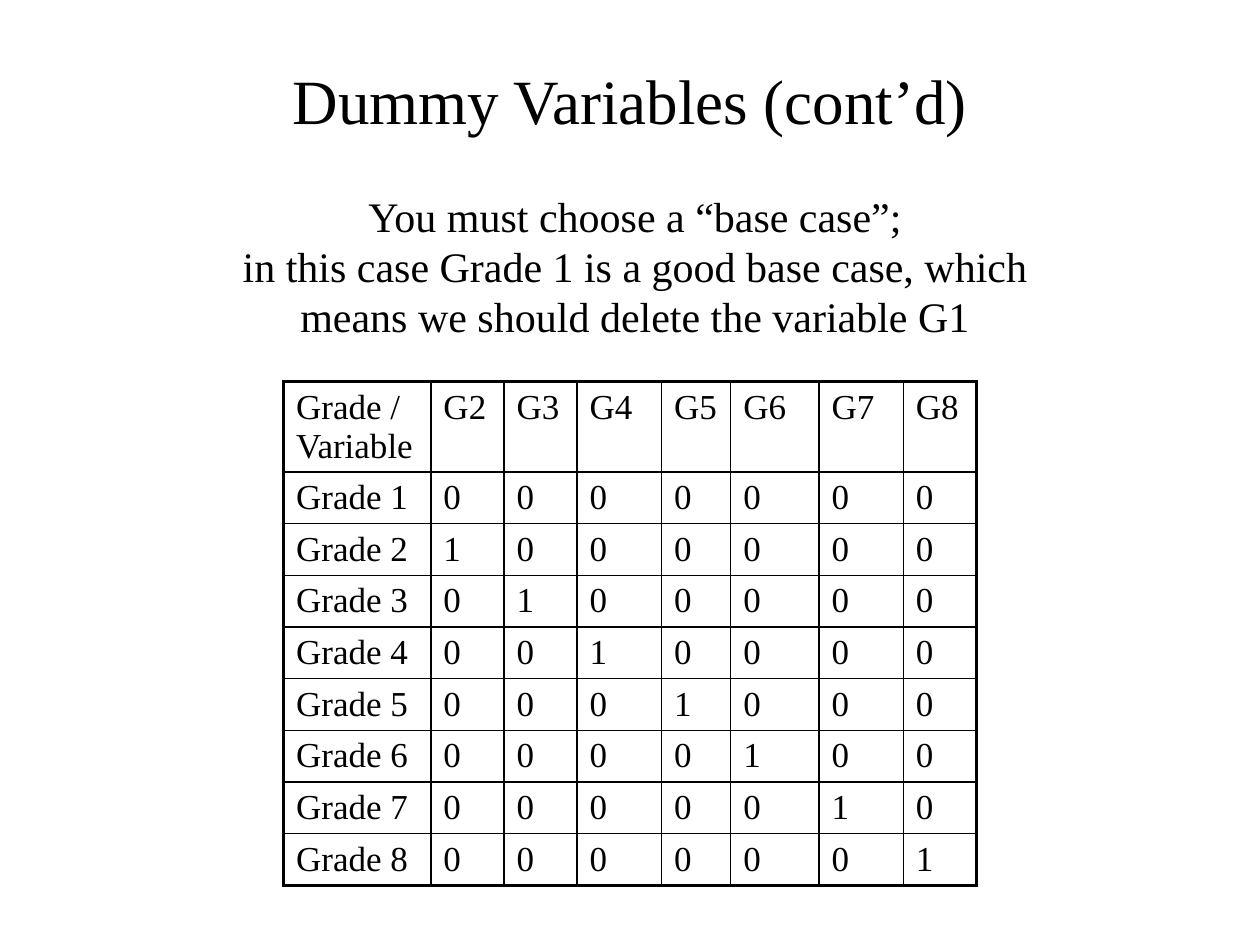
"""Build the slide on dummy variables with a base case."""
from lxml import etree
from pptx import Presentation
from pptx import util as u
from pptx.dml.color import RGBColor
from pptx.enum import text
from pptx.oxml import ns

BLACK = RGBColor(0, 0, 0)
WHITE = RGBColor(255, 255, 255)
FONT = "Times New Roman"
GRADES = 8
COLUMN_WIDTHS = [1.17, 0.58, 0.58, 0.67, 0.55, 0.7, 0.67, 0.58]
HEADER_HEIGHT, ROW_HEIGHT = 0.71, 0.41
THIN, THICK = 1, 2.25


def style(para, size, align):
    """Set the font and alignment of a paragraph."""
    para.alignment = align
    para.font.name = FONT
    para.font.size = u.Pt(size)
    para.font.color.rgb = BLACK


def add_title(page, box, words):
    """Fill the title placeholder and fit it to the box."""
    title = page.shapes.title
    title.left, title.top, title.width, title.height = map(u.Inches, box)
    title.text_frame.text = words
    title.text_frame.vertical_anchor = text.MSO_ANCHOR.MIDDLE
    style(title.text_frame.paragraphs[0], 36, text.PP_ALIGN.CENTER)


def add_explanation(page, box, lines):
    """Write centred paragraphs in a wrapping text box."""
    frame = page.shapes.add_textbox(*map(u.Inches, box)).text_frame
    frame.word_wrap = True
    frame.auto_size = text.MSO_AUTO_SIZE.SHAPE_TO_FIT_TEXT
    frame.text = "\n".join(lines)
    for para in frame.paragraphs:
        style(para, 24, text.PP_ALIGN.CENTER)


def set_borders(cell, widths):
    """Draw the left, right, top and bottom borders of a cell."""
    properties = cell._tc.get_or_add_tcPr()
    for position, (side, width) in enumerate(zip("LRTB", widths)):
        line = etree.Element(ns.qn(f"a:ln{side}"), w=str(u.Pt(width)))
        fill = etree.SubElement(line, ns.qn("a:solidFill"))
        etree.SubElement(fill, ns.qn("a:srgbClr"), val=str(BLACK))
        properties.insert(position, line)


def add_dummy_table(page, box):
    """Add the table of grades against dummy variables, without G1."""
    variables = range(2, GRADES + 1)
    rows = [["Grade / Variable"] + [f"G{variable}" for variable in variables]]
    for grade in range(1, GRADES + 1):
        rows.append([f"Grade {grade}"] + [str(int(grade == variable)) for variable in variables])
    last_row, last_column = len(rows) - 1, len(rows[0]) - 1
    table = page.shapes.add_table(len(rows), len(rows[0]), *map(u.Inches, box)).table
    table.first_row = table.horz_banding = False
    for column, width in zip(table.columns, COLUMN_WIDTHS):
        column.width = u.Inches(width)
    for index, row in enumerate(table.rows):
        row.height = u.Inches(ROW_HEIGHT if index else HEADER_HEIGHT)
    for r, values in enumerate(rows):
        for c, value in enumerate(values):
            cell = table.cell(r, c)
            cell.text = value
            cell.fill.solid()
            cell.fill.fore_color.rgb = WHITE
            style(cell.text_frame.paragraphs[0], 20, text.PP_ALIGN.LEFT)
            outer = (c == 0, c == last_column, r == 0, r == last_row)
            set_borders(cell, [THICK if edge else THIN for edge in outer])


def main():
    """Build and save the deck."""
    deck = Presentation()
    deck.slide_width, deck.slide_height = u.Inches(10), u.Inches(7.5)
    page = deck.slides.add_slide(deck.slide_layouts.get_by_name("Title Only"))
    add_title(page, (0.75, 0.33, 8.5, 0.92), "Dummy Variables (cont’d)")
    add_dummy_table(page, (2.25, 3.03, sum(COLUMN_WIDTHS), HEADER_HEIGHT + GRADES * ROW_HEIGHT))
    add_explanation(page, (1.58, 1.46, 6.92, 1.3), [
        "You must choose a “base case”;",
        "in this case Grade 1 is a good base case, which means we should delete the variable G1",
    ])
    deck.save("out.pptx")


if __name__ == "__main__":
    main()
